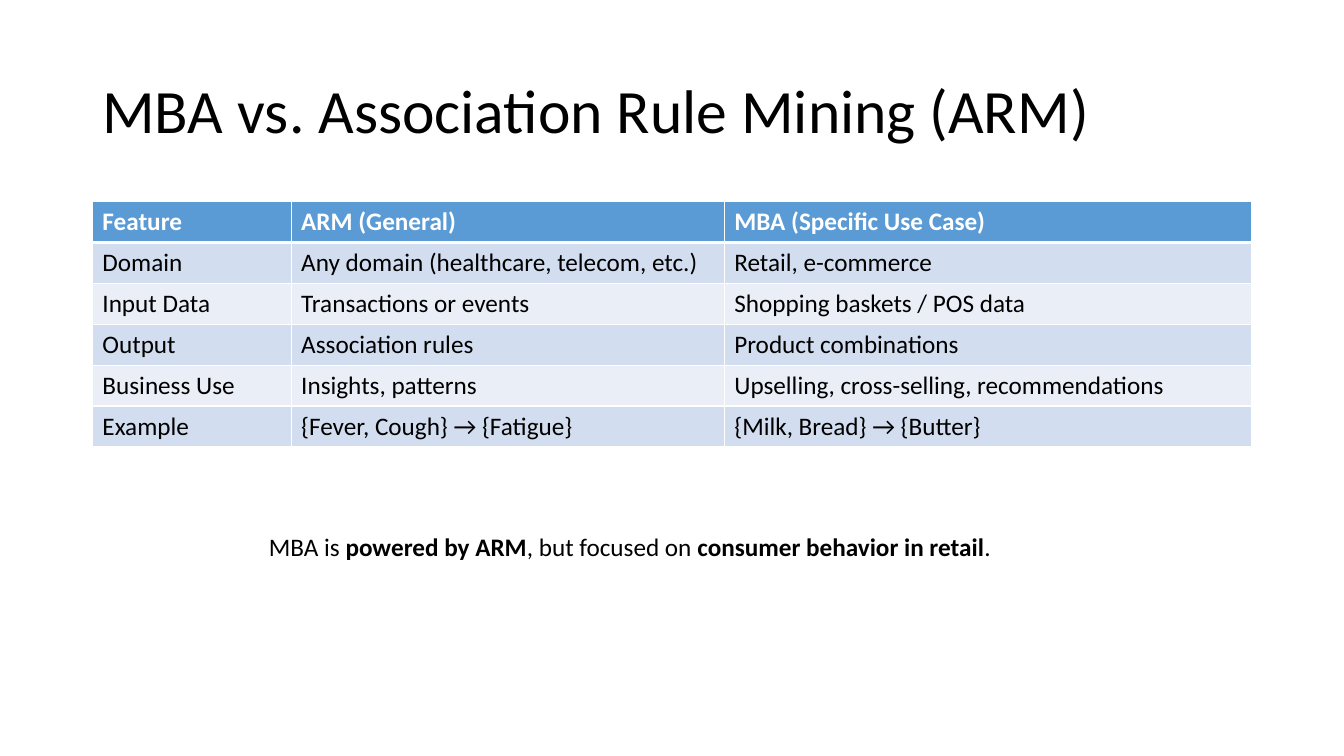
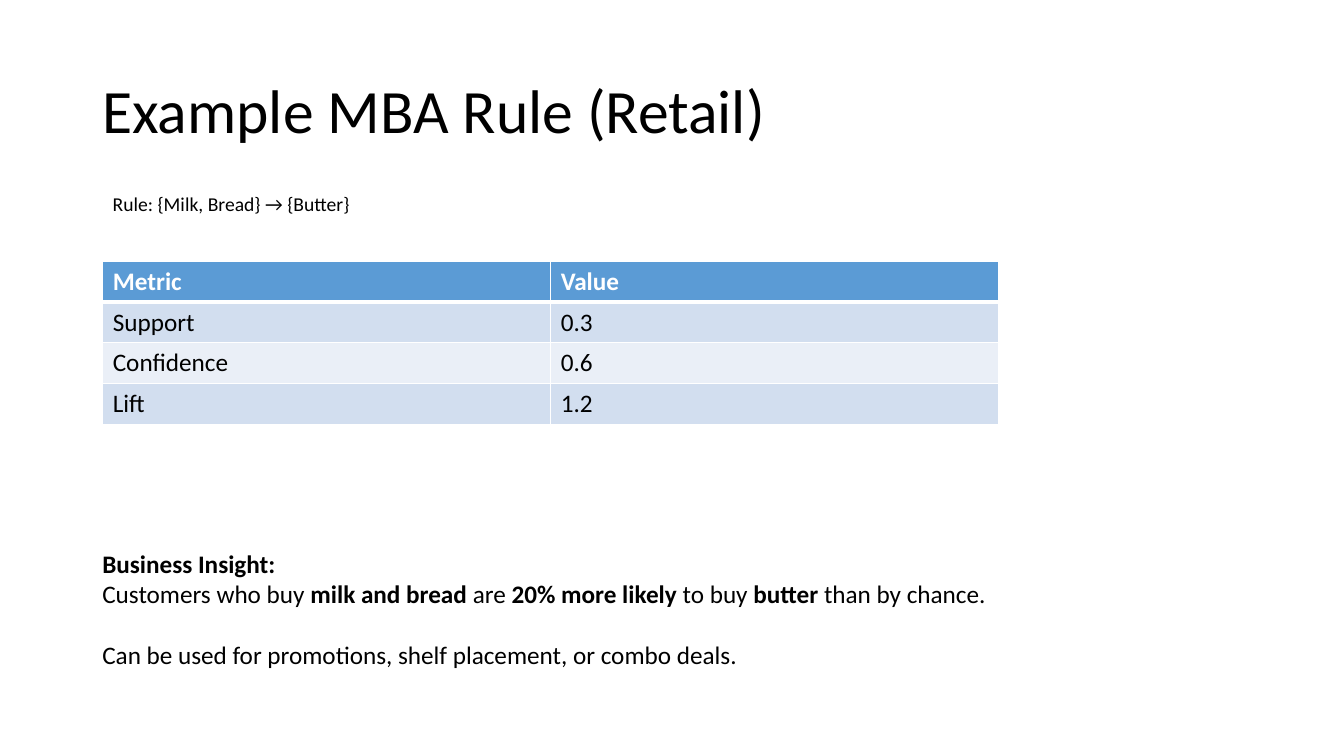
from lxml.etree import SubElement
from pptx import Presentation
from pptx.dml.color import RGBColor
from pptx.enum.text import MSO_ANCHOR
from pptx.oxml.ns import qn
from pptx.util import Pt

# Shared style
FONT = "Calibri"
BLACK, WHITE = "000000", "FFFFFF"
HEADER, BANDS = "5B9BD5", ("D2DEEF", "EAEFF7")
TITLE_BOX = (66, 28.8, 828, 104.4)
ROW_HEIGHT = 29.2


def rgb(value):
    return RGBColor.from_string(value)


def write(p, text, size=18, color=BLACK, bold=False):
    """Add text to a paragraph; parts between ** marks switch weight."""
    for i, part in enumerate(text.split("**")):
        if part:
            r = p.add_run()
            r.text = part
            r.font.name = FONT
            r.font.size = Pt(size)
            r.font.color.rgb = rgb(color)
            r.font.bold = bold != (i % 2 == 1)


def add_text(slide, box, *lines, anchor=MSO_ANCHOR.TOP, wrap=True,
             line_spacing=None, last_gap=0, **fmt):
    sp = slide.shapes.add_textbox(*map(Pt, box))
    tf = sp.text_frame
    tf.word_wrap = wrap
    tf.vertical_anchor = anchor
    for i, line in enumerate(lines):
        p = tf.add_paragraph() if i else tf.paragraphs[0]
        if line_spacing:
            p.line_spacing = line_spacing
        write(p, line, **fmt)
    if last_gap:
        tf.paragraphs[-1].space_before = Pt(last_gap)


def add_title(slide, text):
    add_text(slide, TITLE_BOX, text, size=44, anchor=MSO_ANCHOR.MIDDLE,
             line_spacing=0.9)


def set_borders(cell, top, bottom):
    tcPr = cell._tc.get_or_add_tcPr()
    for side, width in (("L", 1), ("R", 1), ("T", top), ("B", bottom)):
        ln = SubElement(tcPr, qn(f"a:ln{side}"), w=str(Pt(width)))
        fill = SubElement(ln, qn("a:solidFill"))
        SubElement(fill, qn("a:srgbClr"), val=WHITE)


def add_table(slide, left, top, widths, rows):
    frame = slide.shapes.add_table(
        len(rows), len(widths), Pt(left), Pt(top),
        Pt(sum(widths)), Pt(ROW_HEIGHT * len(rows)))
    table = frame.table
    for column, width in zip(table.columns, widths):
        column.width = Pt(width)
    for i, row in enumerate(rows):
        table.rows[i].height = Pt(ROW_HEIGHT)
        is_header = i == 0
        for j, text in enumerate(row):
            cell = table.cell(i, j)
            # Thick rule between the header and the body
            set_borders(cell, 3 if i == 1 else 1, 3 if is_header else 1)
            cell.fill.solid()
            cell.fill.fore_color.rgb = rgb(HEADER if is_header else BANDS[(i - 1) % 2])
            write(cell.text_frame.paragraphs[0], text, bold=is_header,
                  color=WHITE if is_header else BLACK)


def comparison_slide(slide):
    add_title(slide, "MBA vs. Association Rule Mining (ARM)")
    add_table(slide, 66, 144, (142, 309.4, 376.6), [
        ("Feature", "ARM (General)", "MBA (Specific Use Case)"),
        ("Domain", "Any domain (healthcare, telecom, etc.)", "Retail, e-commerce"),
        ("Input Data", "Transactions or events", "Shopping baskets / POS data"),
        ("Output", "Association rules", "Product combinations"),
        ("Business Use", "Insights, patterns", "Upselling, cross-selling, recommendations"),
        ("Example", "{Fever, Cough} → {Fatigue}", "{Milk, Bread} → {Butter}"),
    ])
    add_text(slide, (185, 375.8, 589, 29),
             "MBA is **powered by ARM**, but focused on **consumer behavior in retail**.")


def example_slide(slide):
    add_title(slide, "Example MBA Rule (Retail)")
    add_text(slide, (73.4, 133.2, 188.6, 24.5), "Rule: {Milk, Bread} → {Butter}",
             size=14, anchor=MSO_ANCHOR.MIDDLE, wrap=False)
    add_table(slide, 73.4, 186.5, (320, 320), [
        ("Metric", "Value"),
        ("Support", "0.3"),
        ("Confidence", "0.6"),
        ("Lift", "1.2"),
    ])
    add_text(slide, (66, 388, 647.3, 94.3),
             "**Business Insight:**",
             "Customers who buy **milk and bread** are **20% more likely** to buy "
             "**butter** than by chance.",
             "Can be used for promotions, shelf placement, or combo deals.",
             last_gap=21.6)


def main():
    prs = Presentation()
    prs.slide_width, prs.slide_height = Pt(960), Pt(540)
    for build in (comparison_slide, example_slide):
        build(prs.slides.add_slide(prs.slide_layouts[6]))
    prs.save("out.pptx")


if __name__ == "__main__":
    main()
